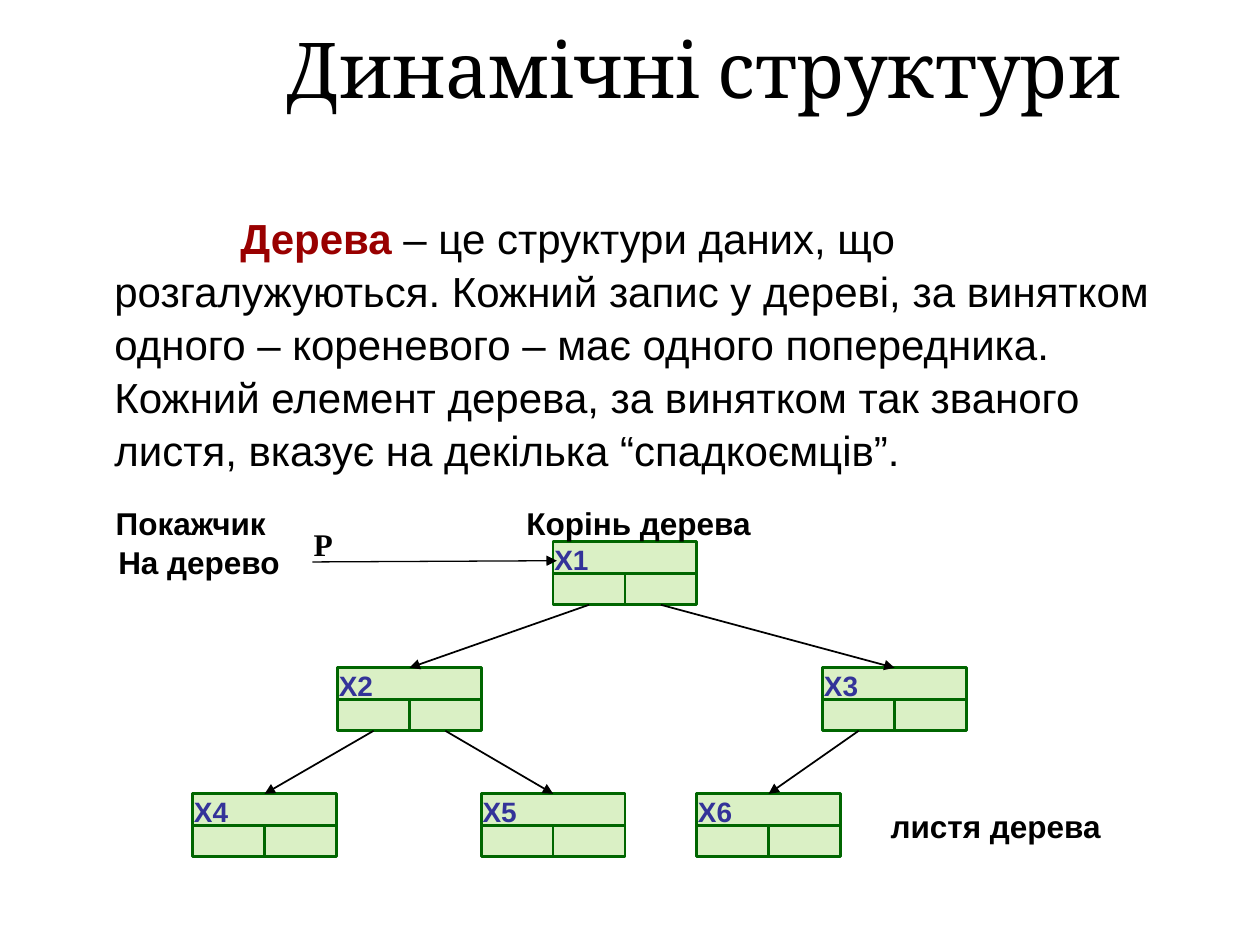
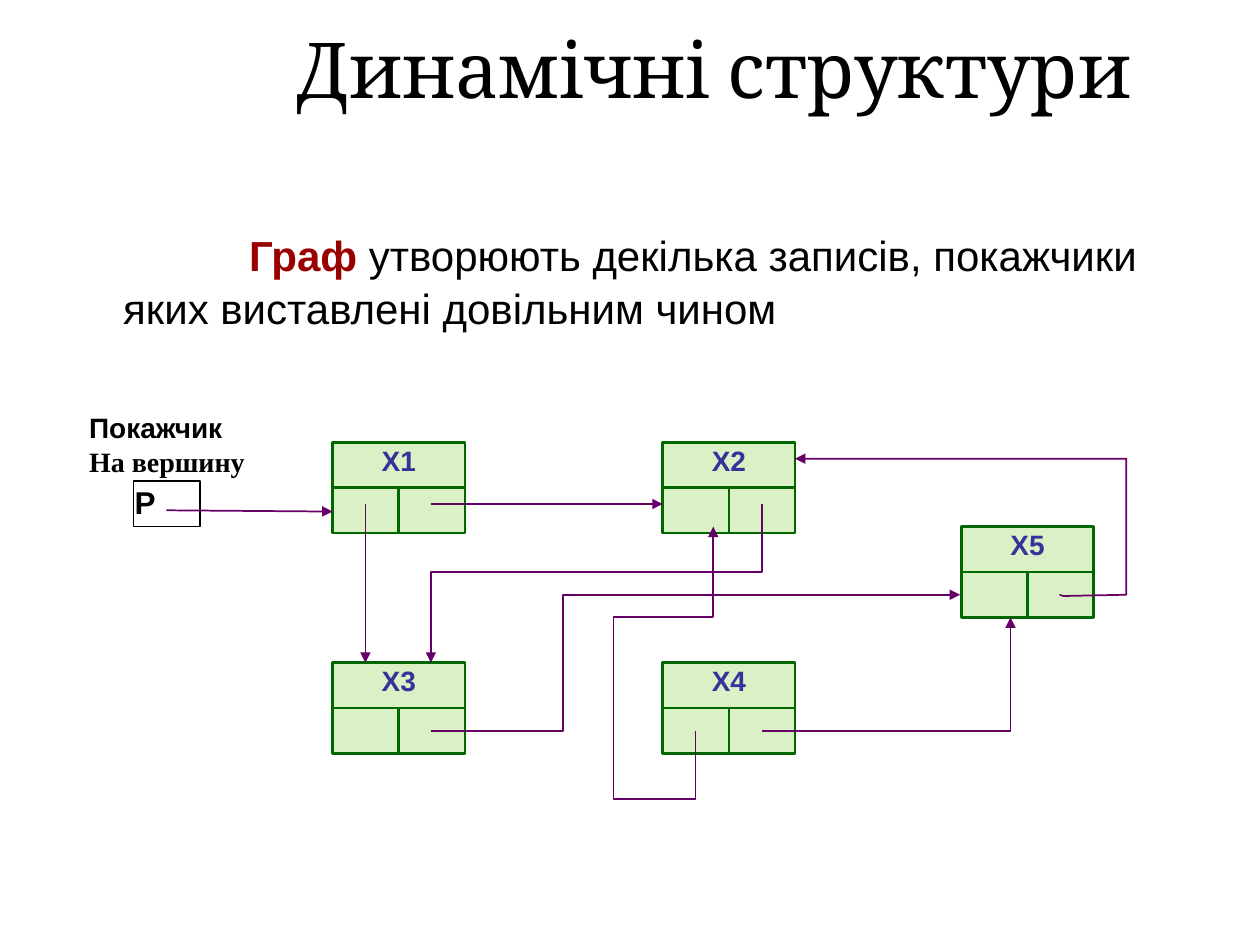
from lxml import etree
from pptx import Presentation
from pptx.dml import color
from pptx.enum import shapes, text
from pptx.oxml import ns
from pptx.util import Inches, Pt

BLACK, RED, NAVY = "000000", "990000", "333399"
GREEN, LIME, PLUM = "006600", "B6E38D", "660066"
MID = text.MSO_ANCHOR.MIDDLE
CENTER, LEFT = text.PP_ALIGN.CENTER, text.PP_ALIGN.LEFT


def rgb(code):
    return color.RGBColor.from_string(code)


def sub(node, tag, **attrs):
    return etree.SubElement(node, ns.qn(tag), **attrs)


class Deck:
    base = {"name": "Arial", "size": Pt(18), "bold": True}

    def __init__(self):
        self.prs = Presentation()
        self.prs.slide_width, self.prs.slide_height = Inches(10), Inches(7.5)

    def page(self, left):
        self.slide = self.prs.slides.add_slide(self.prs.slide_layouts[6])
        self.label(["Динамічні структури"], left, 0, 7.32, 1.07, align=CENTER,
                   name="Cambria", size=Pt(44), bold=False)

    def run(self, para, words, tint=BLACK, **style):
        run = para.add_run()
        run.text = words
        run.font.color.rgb = rgb(tint)
        for key, val in {**self.base, **style}.items():
            setattr(run.font, key, val)

    def pad(self, frame, side, top):
        pads = {"margin_left": side, "margin_right": side,
                "margin_top": top, "margin_bottom": top}
        for key, val in pads.items():
            setattr(frame, key, Inches(val))
        frame.word_wrap = True

    def box(self, left, top, width, height):
        area = self.slide.shapes.add_textbox(*map(Inches, (left, top, width, height)))
        self.pad(area.text_frame, 0.1, 0.05)
        return area.text_frame

    def label(self, lines, left, top, width, height, align=LEFT, fonts=(), **style):
        frame = self.box(left, top, width, height)
        frame.vertical_anchor = MID
        for num, words in enumerate(lines):
            para = frame.add_paragraph() if num else frame.paragraphs[0]
            para.alignment = align
            look = {**style, "name": fonts[num]} if fonts else style
            self.run(para, words, **look)

    def body(self, left, top, term, rest):
        para = self.box(left, top, 9, 4.95).paragraphs[0]
        props = para._p.get_or_add_pPr()
        props.set("marL", str(Inches(0.38)))
        props.set("indent", str(Inches(1)))
        para.line_spacing = 1.05
        self.run(para, term, RED, size=Pt(24))
        self.run(para, rest, size=Pt(24), bold=False)

    def stroke(self, item, tint, width, arrow=False):
        item.line.color.rgb = rgb(tint)
        item.line.width = Pt(width)
        if arrow:
            sub(item.line._get_or_add_ln(), "a:tailEnd", type="triangle")

    def rect(self, words, left, top, width, height, tint=NAVY, edge=GREEN,
             thick=1.5, fill=None, align=LEFT, **style):
        item = self.slide.shapes.add_shape(
            shapes.MSO_SHAPE.RECTANGLE, *map(Inches, (left, top, width, height)))
        item.shadow.inherit = False
        if fill:
            item.fill.solid()
            item.fill.fore_color.rgb = rgb(fill)
            hue = item.fill._xPr.find(".//" + ns.qn("a:srgbClr"))
            sub(hue, "a:alpha", val="50000")
        else:
            item.fill.background()
        self.stroke(item, edge, thick)
        frame = item.text_frame
        self.pad(frame, 0.01, 0.01)
        frame.vertical_anchor = text.MSO_ANCHOR.TOP
        frame.paragraphs[0].alignment = align
        self.run(frame.paragraphs[0], words, tint, **style)

    def line(self, start, end, tint=GREEN, width=1.5, arrow=False):
        item = self.slide.shapes.add_connector(
            shapes.MSO_CONNECTOR.STRAIGHT, *map(Inches, (*start, *end)))
        self.stroke(item, tint, width, arrow)
        sub(item._element.spPr, "a:effectLst")

    def route(self, *spots):
        first, *rest = [tuple(map(Inches, spot)) for spot in spots]
        pen = self.slide.shapes.build_freeform(*first)
        pen.add_line_segments(rest, close=False)
        item = pen.convert_to_shape()
        item.shadow.inherit = False
        item.fill.background()
        self.stroke(item, PLUM, 1, True)

    def node(self, words, left, top, width, height, align=LEFT):
        self.rect(words, left, top, width, height, fill=LIME, align=align, size=Pt(16))
        half, mid = top + height / 2, left + width / 2
        self.line((left, half), (left + width, half))
        self.line((mid, half), (mid, top + height))


def tree(deck):
    deck.page(1.93)
    deck.body(0.43, 1.62, "Дерева",
              " – це структури даних, що розгалужуються. Кожний запис у дереві, "
              "за винятком одного – кореневого – має одного попередника. Кожний "
              "елемент дерева, за винятком так званого листя, вказує на декілька "
              "“спадкоємців”.")
    wide, high = 1.14, 0.5
    nodes = {"X1": (4.39, 4.3), "X2": (2.68, 5.3), "X3": (6.53, 5.3),
             "X4": (1.53, 6.3), "X5": (3.82, 6.3), "X6": (5.53, 6.3)}
    for name, spot in nodes.items():
        deck.node(name, *spot, wide, high)
    links = [("X1", 1, "X2"), ("X1", 3, "X3"), ("X2", 1, "X4"),
             ("X2", 3, "X5"), ("X3", 1, "X6")]
    for top, part, low in links:
        (left, y), (right, end) = nodes[top], nodes[low]
        deck.line((left + wide * part / 4, y + high), (right + wide / 2, end),
                  BLACK, 1, True)
    deck.label(["Р"], 2.39, 4.12, 0.5, 0.4, name="Times New Roman")
    deck.line((2.48, 4.46), (4.42, 4.45), BLACK, 0.75, True)
    deck.label(["листя дерева"], 6.97, 6.35, 2.34, 0.41)
    deck.label(["Покажчик"], 0.82, 3.95, 1.62, 0.4)
    deck.label(["Корінь дерева"], 4.08, 3.95, 2.2, 0.4)
    deck.label(["На дерево"], 0.84, 4.26, 1.62, 0.4)


def graph(deck):
    deck.page(2.01)
    deck.body(0.5, 1.75, "Граф",
              " утворюють декілька записів, покажчики яких виставлені довільним чином")
    deck.label(["Покажчик", "На вершину"], 0.61, 3.21, 1.5, 0.63,
               fonts=("Arial", "Times New Roman"), size=Pt(16))
    nodes = {"X2": (5.26, 3.51), "X1": (2.64, 3.51), "X3": (2.64, 5.26),
             "X4": (5.26, 5.26), "X5": (7.63, 4.18)}
    for name, spot in nodes.items():
        deck.node(name, *spot, 1.05, 0.72, CENTER)
    deck.line((3.42, 4), (5.26, 4), PLUM, 1, True)
    deck.line((2.9, 4), (2.9, 5.26), PLUM, 1, True)
    deck.route((6.05, 4), (6.05, 4.54), (3.42, 4.54), (3.42, 5.26))
    deck.route((3.42, 5.8), (4.47, 5.8), (4.47, 4.72), (7.62, 4.72))
    deck.route((6.05, 5.8), (8.02, 5.8), (8.02, 4.9))
    deck.route((5.52, 5.8), (5.52, 6.34), (4.87, 6.34), (4.87, 4.9),
               (5.66, 4.9), (5.66, 4.18))
    deck.route((8.41, 4.72), (8.44, 4.73), (8.94, 4.72), (8.94, 3.64), (6.31, 3.64))
    deck.rect("Р", 1.06, 3.82, 0.53, 0.36, BLACK, BLACK, 1)
    deck.line((1.32, 4.05), (2.64, 4.06), PLUM, 1, True)


def main():
    deck = Deck()
    tree(deck)
    graph(deck)
    deck.prs.save("out.pptx")


if __name__ == "__main__":
    main()
